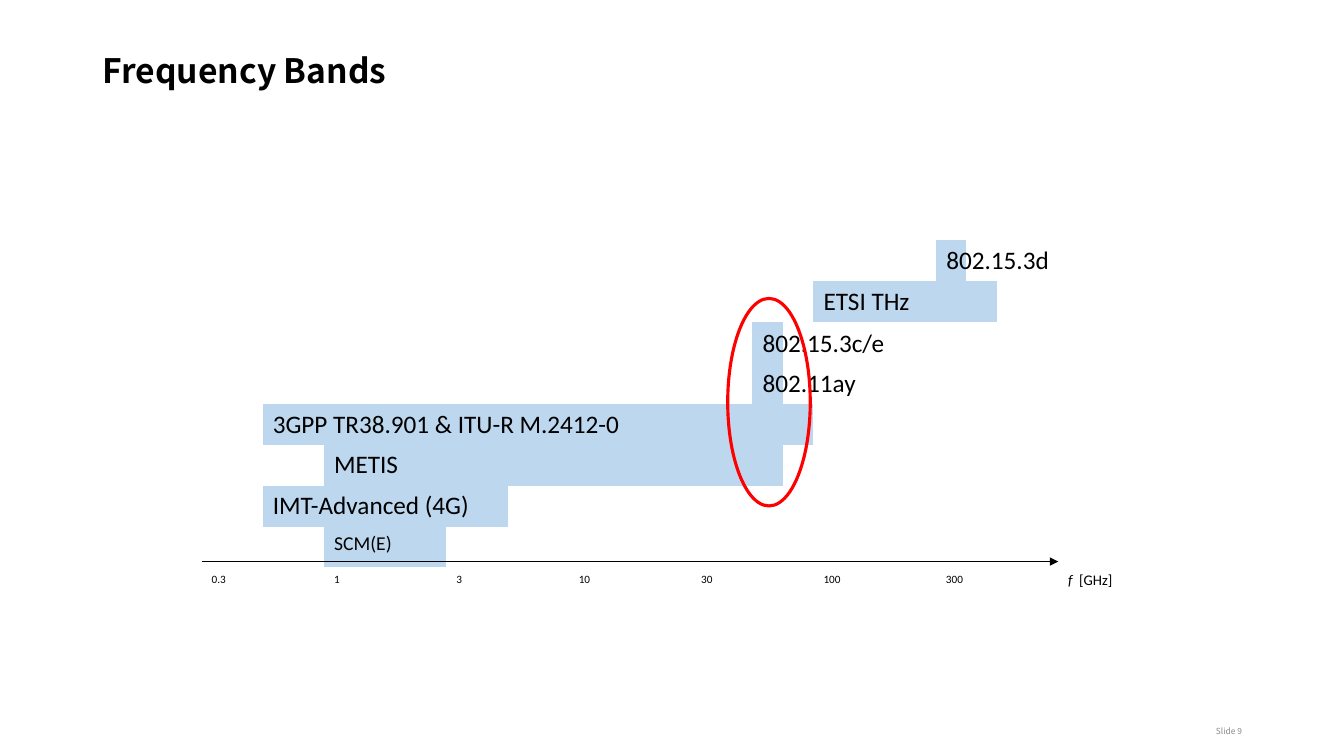
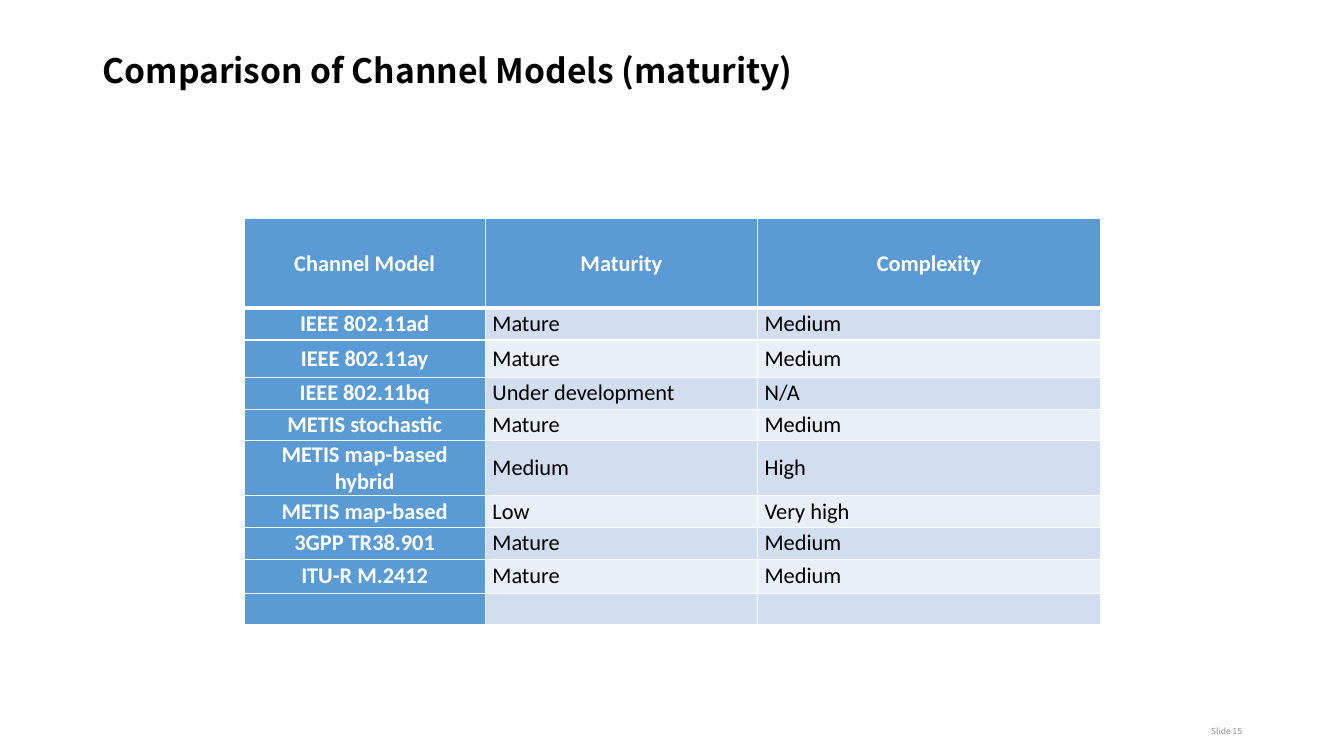
from lxml import etree
from pptx import Presentation
from pptx.dml.color import RGBColor
from pptx.enum.shapes import MSO_CONNECTOR, MSO_SHAPE
from pptx.enum.text import MSO_ANCHOR, MSO_AUTO_SIZE, PP_ALIGN
from pptx.oxml.ns import qn
from pptx.util import Cm, Pt

LEFT, CENTER, RIGHT = PP_ALIGN.LEFT, PP_ALIGN.CENTER, PP_ALIGN.RIGHT
TOP, MIDDLE, BOTTOM = MSO_ANCHOR.TOP, MSO_ANCHOR.MIDDLE, MSO_ANCHOR.BOTTOM
HEADING_FONT, BODY_FONT = "Noto Sans CJK SC", "Calibri"
PLAIN_TABLE = "{2D5ABB26-0587-4C30-8999-92F81FD0307C}"
COLORS = {
    "black": "000000", "white": "FFFFFF", "gray": "8C8C8C", "red": "FF0000",
    "band": "BDD7EE", "header": "5B9BD5", "odd": "D2DEEF", "even": "EAEFF7",
}

# Content: frequency bands
BAND_TITLE, BAND_NUMBER = "Frequency Bands", 9
BAND_COLUMNS = [1] * 9 + [0.5, 0.5, 1, 1, 0.5, 0.5, 1]  # in axis units
BAND_ROWS = 12
BANDS = [  # row, first column, last column, label, size
    (3, 13, 13, "", 18),
    (4, 11, 14, "ETSI THz", 18),
    (5, 9, 9, "", 18),
    (6, 9, 9, "", 18),
    (7, 1, 10, "3GPP TR38.901 & ITU-R M.2412-0", 18),
    (8, 2, 9, "METIS", 18),
    (9, 1, 4, "IMT-Advanced (4G)", 18),
    (10, 2, 3, "SCM(E)", 14),
]
TICKS = [  # first column, last column, frequency
    (0, 1, "0.3"), (2, 3, "1"), (4, 5, "3"), (6, 7, "10"),
    (8, 10, "30"), (11, 12, "100"), (13, 15, "300"),
]
NARROW_BAND_LABELS = [  # text, left, top, width in cm
    ("802.11ay", 18.97, 9.14, 2.87),
    ("802.15.3c/e", 18.97, 8.13, 3.6),
    ("802.15.3d", 23.6, 6.02, 3.12),
]

# Content: comparison of models
MODEL_TITLE, MODEL_NUMBER = "Comparison of Channel Models (maturity)", 15
MODEL_ROWS = [
    ("Channel Model", "Maturity", "Complexity"),
    ("IEEE 802.11ad", "Mature", "Medium"),
    ("IEEE 802.11ay", "Mature", "Medium"),
    ("IEEE 802.11bq", "Under development", "N/A"),
    ("METIS stochastic", "Mature", "Medium"),
    ("METIS map-based hybrid", "Medium", "High"),
    ("METIS map-based", "Low", "Very high"),
    ("3GPP TR38.901", "Mature", "Medium"),
    ("ITU-R M.2412", "Mature", "Medium"),
    ("", "", ""),
]
MODEL_WIDTHS = [6.08, 6.86, 8.65]
MODEL_HEIGHTS = [2.26, 0.8, 0.94, 0.8, 0.8, 1.38, 0.8, 0.8, 0.86, 0.8]


def rgb(name):
    return RGBColor.from_string(COLORS[name])


def write(frame, text, size=18, color="black", font=BODY_FONT, bold=False,
          italic=False, align=LEFT, spacing=None):
    """Append a formatted run to the first paragraph of a text frame."""
    paragraph = frame.paragraphs[0]
    paragraph.alignment = align
    if spacing:
        paragraph.line_spacing = spacing
    run = paragraph.add_run()
    run.text = text
    run.font.name, run.font.size = font, Pt(size)
    run.font.bold, run.font.italic = bold, italic
    run.font.color.rgb = rgb(color)


def add_label(slide, left, top, width, height, anchor=TOP, wrap=False):
    box = slide.shapes.add_textbox(Cm(left), Cm(top), Cm(width), Cm(height))
    frame = box.text_frame
    frame.word_wrap = wrap
    frame.vertical_anchor = anchor
    frame.auto_size = MSO_AUTO_SIZE.NONE if wrap else MSO_AUTO_SIZE.SHAPE_TO_FIT_TEXT
    return frame


def add_slide(presentation, title, number):
    slide = presentation.slides.add_slide(presentation.slide_layouts[5])
    heading = slide.shapes.title
    heading.left, heading.top = Cm(2.33), Cm(1.14)
    heading.width, heading.height = Cm(29.21), Cm(1.37)
    heading.text_frame.vertical_anchor = MIDDLE
    heading.text_frame.auto_size = MSO_AUTO_SIZE.NONE
    write(heading.text_frame, title, size=24, font=HEADING_FONT, bold=True, spacing=0.9)
    footer = add_label(slide, 23.93, 17.65, 7.62, 1.02, anchor=BOTTOM, wrap=True)
    write(footer, f"Slide {number}", size=6, color="gray", font=HEADING_FONT, align=RIGHT)
    return slide


def add_grid(slide, left, top, widths, heights):
    table = slide.shapes.add_table(len(heights), len(widths), Cm(left), Cm(top),
                                   Cm(sum(widths)), Cm(sum(heights))).table
    table.first_row = table.horz_banding = False
    table._tbl.tblPr.find(qn("a:tableStyleId")).text = PLAIN_TABLE
    for column, width in zip(table.columns, widths):
        column.width = Cm(width)
    for row, height in zip(table.rows, heights):
        row.height = Cm(height)
    return table


def merge_span(table, row, first, last):
    cell = table.cell(row, first)
    if last > first:
        cell.merge(table.cell(row, last))
    return cell


def set_borders(cell, color, **widths):
    properties = cell._tc.get_or_add_tcPr()
    for side, width in widths.items():
        line = etree.SubElement(properties, qn(f"a:ln{side}"), w=str(Pt(width)))
        fill = etree.SubElement(line, qn("a:solidFill"))
        etree.SubElement(fill, qn("a:srgbClr"), val=COLORS[color])


def add_axis(slide, left, right, y):
    axis = slide.shapes.add_connector(MSO_CONNECTOR.STRAIGHT, Cm(left), Cm(y), Cm(right), Cm(y))
    axis.line.color.rgb = rgb("black")
    axis.line.width = Pt(0.75)
    etree.SubElement(axis.line._get_or_add_ln(), qn("a:tailEnd"), type="triangle")
    etree.SubElement(axis._element.spPr, qn("a:effectLst"))


def build_bands(presentation):
    slide = add_slide(presentation, BAND_TITLE, BAND_NUMBER)
    left, width, height = 5.08, 21.59, 12.37
    unit = width / sum(BAND_COLUMNS)
    table = add_grid(slide, left, 2.97, [unit * share for share in BAND_COLUMNS],
                     [height / BAND_ROWS] * BAND_ROWS)

    # Bands and tick labels
    for row, first, last, label, size in BANDS:
        cell = merge_span(table, row, first, last)
        cell.fill.solid()
        cell.fill.fore_color.rgb = rgb("band")
        if label:
            write(cell.text_frame, label, size=size)
    for first, last, frequency in TICKS:
        write(merge_span(table, BAND_ROWS - 1, first, last).text_frame, frequency, size=8)

    # Axis and its unit
    add_axis(slide, left, left + width, 14.15)
    unit_label = add_label(slide, left + width, 14.25, 1.65, 0.71)
    write(unit_label, "f ", size=10.5, italic=True)
    write(unit_label, " [GHz]", size=10.5)

    # Labels wider than their bands
    for text, label_left, top, label_width in NARROW_BAND_LABELS:
        write(add_label(slide, label_left, top, label_width, 1.02), text)

    # Highlight around 60 GHz
    ring = slide.shapes.add_shape(MSO_SHAPE.OVAL, Cm(18.34), Cm(7.52), Cm(2.08), Cm(5.23))
    ring.shadow.inherit = False
    ring.fill.background()
    ring.line.color.rgb = rgb("red")
    ring.line.width = Pt(2.25)


def build_models(presentation):
    slide = add_slide(presentation, MODEL_TITLE, MODEL_NUMBER)
    table = add_grid(slide, 6.15, 5.51, MODEL_WIDTHS, MODEL_HEIGHTS)
    for row, texts in enumerate(MODEL_ROWS):
        for column, text in enumerate(texts):
            cell = table.cell(row, column)
            is_header = row == 0 or column == 0
            cell.vertical_anchor = MIDDLE
            cell.margin_left = cell.margin_right = Cm(0.18)
            cell.margin_top = cell.margin_bottom = 0
            set_borders(cell, "white", L=1, R=1, T=3 if row == 1 else 1, B=3 if row == 0 else 1)
            cell.fill.solid()
            cell.fill.fore_color.rgb = rgb("header" if is_header else "odd" if row % 2 else "even")
            if text:
                write(cell.text_frame, text, size=16, bold=is_header,
                      color="white" if is_header else "black",
                      align=CENTER if is_header else LEFT)


def main():
    presentation = Presentation()
    presentation.slide_width, presentation.slide_height = Cm(33.87), Cm(19.05)
    build_bands(presentation)
    build_models(presentation)
    presentation.save("out.pptx")


if __name__ == "__main__":
    main()
